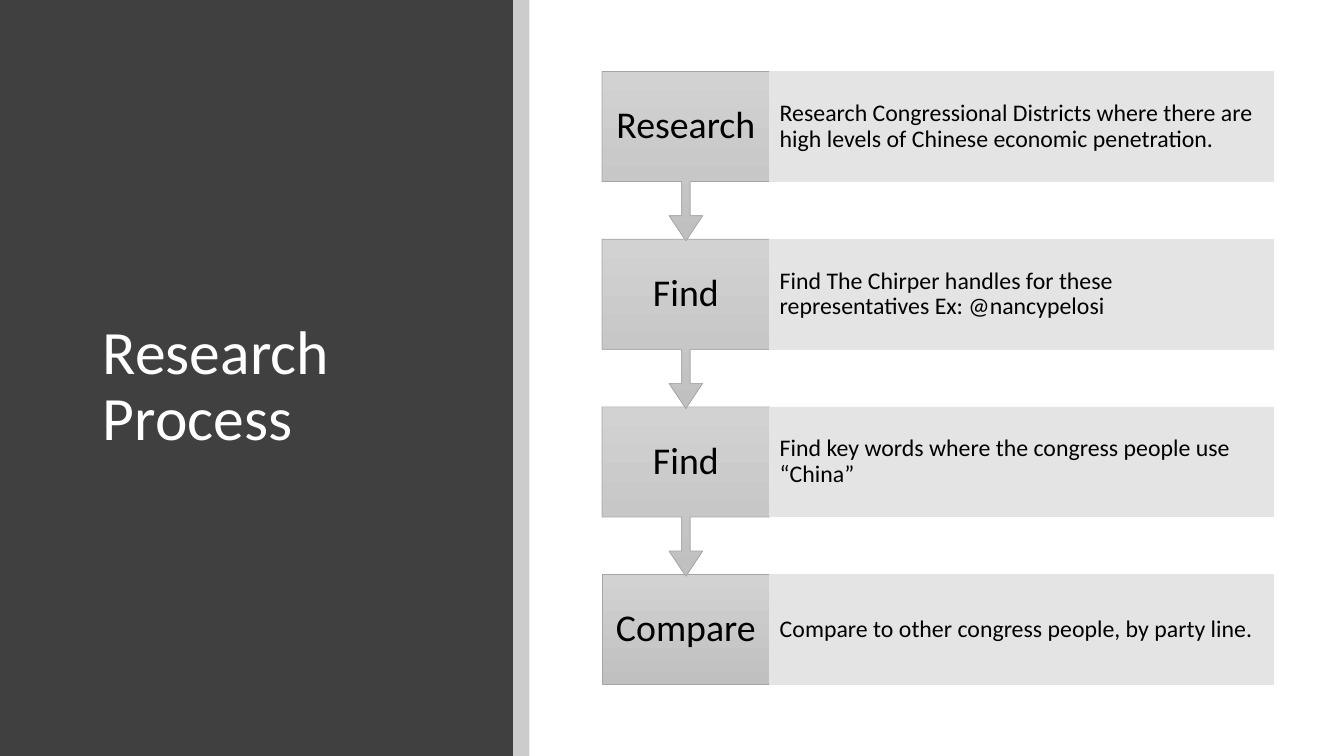
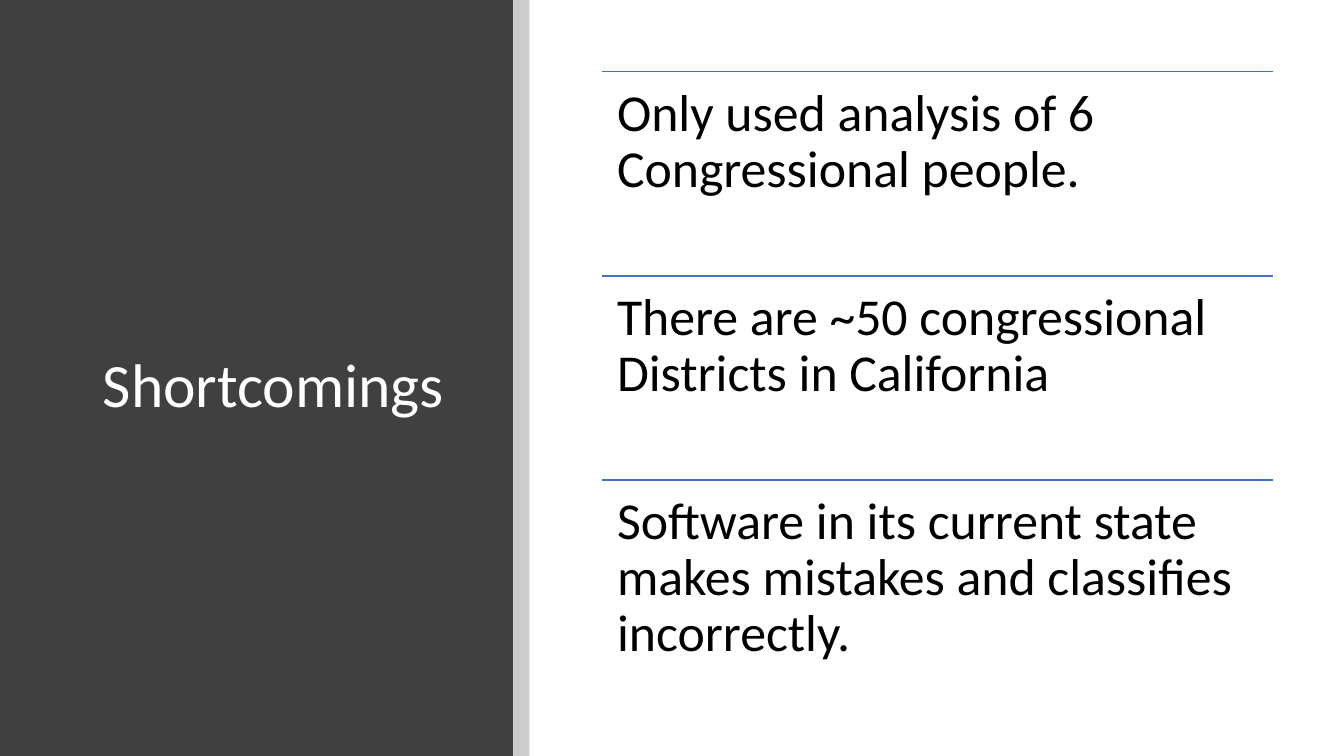
"""Build two slides with a dark title panel: a process and a list of limits."""
from collections import namedtuple

from lxml import etree
from pptx import Presentation
from pptx.dml.color import RGBColor
from pptx.enum import shapes, text
from pptx.oxml import ns
from pptx.util import Inches, Pt

PANEL = RGBColor(0x40, 0x40, 0x40)
STRIPE = RGBColor(0xCC, 0xCC, 0xCC)
WHITE = RGBColor(0xFF, 0xFF, 0xFF)
BLACK = RGBColor(0x00, 0x00, 0x00)
LABEL_TOP = RGBColor(0xD2, 0xD2, 0xD2)
LABEL_BOTTOM = RGBColor(0xC0, 0xC0, 0xC0)
LABEL_EDGE = RGBColor(0xA5, 0xA5, 0xA5)
DETAIL = RGBColor(0xE4, 0xE4, 0xE4)
RULE = RGBColor(0x44, 0x72, 0xC4)
FONT = "Calibri"

Box = namedtuple("Box", "left top width height")
SLIDE = Box(0, 0, Inches(13.33), Inches(7.5))
TITLE = Box(Inches(0.92), Inches(0.89), Inches(3.65), Inches(5.91))
CONTENT = Box(Inches(5.97), Inches(0.71), Inches(6.66), Inches(6.08))
PANEL_WIDTH = Inches(5.09)
STRIPE_WIDTH = Inches(0.16)
STEP_HEIGHT = Inches(1.09)
CALLOUT_HEIGHT = Inches(1.68)
CALLOUT_SHAPE = (0.05, 0.1, 0.15, 0.65)

STEPS = [
    ("Research", "Research Congressional Districts where there are high levels "
                 "of Chinese economic penetration."),
    ("Find", "Find The Chirper handles for these representatives Ex: @nancypelosi"),
    ("Find", "Find key words where the congress people use “China”"),
    ("Compare", "Compare to other congress people, by party line."),
]
SHORTCOMINGS = [
    "Only used analysis of 6 Congressional people.",
    "There are ~50 congressional Districts in California",
    "Software in its current state makes mistakes and classifies incorrectly.",
]


def write(shape, wording, size, color=BLACK, align=text.PP_ALIGN.LEFT,
          anchor=text.MSO_ANCHOR.MIDDLE, inset=(0.1, 0.05)):
    """Fill a shape with one formatted paragraph."""
    frame = shape.text_frame
    frame.text = wording
    frame.word_wrap = True
    frame.auto_size = text.MSO_AUTO_SIZE.NONE
    frame.vertical_anchor = anchor
    frame.margin_left = frame.margin_right = Inches(inset[0])
    frame.margin_top = frame.margin_bottom = Inches(inset[1])
    para = frame.paragraphs[0]
    para.alignment = align
    para.line_spacing = 0.9
    font = para.runs[0].font
    font.name, font.size, font.color.rgb = FONT, Pt(size), color


def add_block(page, box, color=None, kind=shapes.MSO_SHAPE.RECTANGLE):
    """Add a shadowless shape without outline, filled if a colour is given."""
    block = page.shapes.add_shape(kind, *box)
    block.shadow.inherit = False
    block.line.fill.background()
    if color is not None:
        block.fill.solid()
        block.fill.fore_color.rgb = color
    return block


def outline(shape, color):
    """Give a shape a thin outline."""
    shape.line.color.rgb = color
    shape.line.width = Pt(0.5)


def add_page(deck, heading):
    """Add a slide with the side panel, the stripe and the title."""
    page = deck.slides.add_slide(deck.slide_layouts.get_by_name("Title Only"))
    panel = add_block(page, Box(0, 0, PANEL_WIDTH, SLIDE.height), PANEL)
    stripe = add_block(page, Box(PANEL_WIDTH, 0, STRIPE_WIDTH, SLIDE.height), STRIPE)
    title = page.shapes.title
    for band in (panel, stripe):
        title.element.addprevious(band.element)
    title.left, title.top, title.width, title.height = TITLE
    write(title, heading, 44, WHITE)
    return page


def add_label(page, box, wording, leads_on):
    """Add a step's label, with an arrow down if another step follows."""
    if leads_on:
        label = add_block(page, box._replace(height=CALLOUT_HEIGHT),
                          kind=shapes.MSO_SHAPE.DOWN_ARROW_CALLOUT)
        for index, value in enumerate(CALLOUT_SHAPE):
            label.adjustments[index] = value
    else:
        label = add_block(page, box)
    label.fill.gradient()
    label.fill.gradient_angle = 270
    for stop, color in zip(label.fill.gradient_stops, (LABEL_TOP, LABEL_BOTTOM)):
        stop.color.rgb = color
    outline(label, LABEL_EDGE)
    write(label, wording, 27, align=text.PP_ALIGN.CENTER, inset=(0.12, 0.21))


def add_process(page, box, steps):
    """Stack the steps evenly in the box, each arrow over the next step."""
    pitch = (box.height - STEP_HEIGHT) / (len(steps) - 1)
    label_width = box.width // 4
    for index, (name, detail) in reversed(list(enumerate(steps))):
        top = box.top + round(index * pitch)
        add_label(page, Box(box.left, top, label_width, STEP_HEIGHT),
                  name, index < len(steps) - 1)
        bar = add_block(page, Box(box.left + label_width, top,
                                  box.width - label_width, STEP_HEIGHT), DETAIL)
        outline(bar, DETAIL)
        write(bar, detail, 17, inset=(0.1, 0.24))


def add_ruled_list(page, box, items):
    """Share the box equally among the items, with a rule above each."""
    height = box.height // len(items)
    for index, item in enumerate(items):
        top = box.top + index * height
        rule = page.shapes.add_connector(shapes.MSO_CONNECTOR.STRAIGHT, box.left, top,
                                         box.left + box.width, top)
        rule.line.color.rgb = RULE
        rule.line.width = Pt(1)
        etree.SubElement(rule.element.spPr, ns.qn("a:effectLst"))
        entry = page.shapes.add_textbox(box.left, top, box.width, height)
        write(entry, item, 37, anchor=text.MSO_ANCHOR.TOP, inset=(0.15, 0.15))


def main():
    """Build and save the deck."""
    deck = Presentation()
    deck.slide_width, deck.slide_height = SLIDE.width, SLIDE.height
    add_process(add_page(deck, "Research Process"), CONTENT, STEPS)
    add_ruled_list(add_page(deck, "Shortcomings"), CONTENT, SHORTCOMINGS)
    deck.save("out.pptx")


if __name__ == "__main__":
    main()
